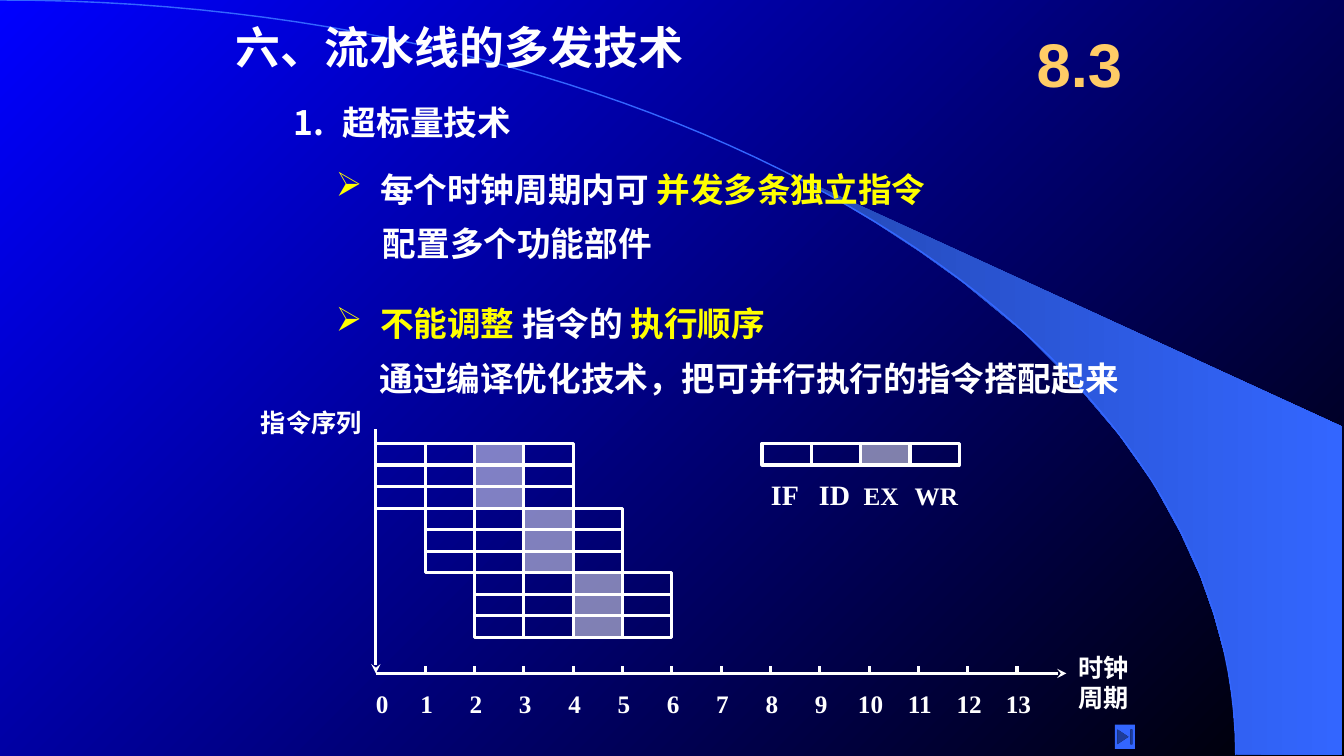
import pptx
import pptx.dml.color
import pptx.enum.shapes
import pptx.enum.text
import pptx.oxml.ns
import pptx.util
import lxml.etree

Pt = pptx.util.Pt
qn = pptx.oxml.ns.qn
SHAPE = pptx.enum.shapes.MSO_SHAPE
ANCHOR = pptx.enum.text.MSO_ANCHOR
COLORS = {
    name: pptx.dml.color.RGBColor.from_string(value)
    for name, value in {
        "white": "FFFFFF", "yellow": "FFFF00", "amber": "FFCC66",
        "blue": "0000FF", "black": "000000", "sky": "3366FF", "deep": "2449B6",
    }.items()
}

presentation = pptx.Presentation()
presentation.slide_width = Pt(960)
presentation.slide_height = Pt(540)
slide = presentation.slides.add_slide(presentation.slide_layouts[6])
shapes = slide.shapes


def add_text(left, top, width, height, runs, size, inset=7.2, anchor=ANCHOR.TOP, font="Times New Roman"):
    frame = shapes.add_textbox(Pt(left), Pt(top), Pt(width), Pt(height)).text_frame
    frame.word_wrap = True
    frame.vertical_anchor = anchor
    frame.margin_left = frame.margin_right = Pt(inset)
    paragraph = frame.paragraphs[0]
    for text, color in runs:
        run = paragraph.add_run()
        run.text = text
        run.font.name = font
        run.font.size = Pt(size)
        run.font.bold = True
        run.font.color.rgb = COLORS[color]
    return paragraph


def add_line(x1, y1, x2, y2, arrow=False):
    line = shapes.add_connector(pptx.enum.shapes.MSO_CONNECTOR.STRAIGHT, Pt(x1), Pt(y1), Pt(x2), Pt(y2))
    line.line.color.rgb = COLORS["white"]
    line.line.width = Pt(2.25)
    if arrow:
        lxml.etree.SubElement(line.line._get_or_add_ln(), qn("a:tailEnd"), type="stealth")
    lxml.etree.SubElement(line._element.spPr, qn("a:effectLst"))


backdrop = slide.background.fill
backdrop.gradient()
backdrop.gradient_angle = 315
backdrop.gradient_stops[0].color.rgb = COLORS["blue"]
backdrop.gradient_stops[1].color.rgb = COLORS["black"]

wedge_points = [
    (883.4, 538.6), (958.3, 539.3), (958.3, 304.6), (565.9, 124.6), (599, 143.3), (626.4, 159.8),
    (657.4, 180), (687.6, 201.6), (731.5, 237.6), (770.4, 276.5), (799.2, 310.3), (823.7, 344.9),
    (843.1, 380.2), (857.5, 411.8), (866.9, 438.5), (876.2, 472.3), (880.6, 501.1),
]
arc_points = []
for step in range(61):
    t = step / 60
    weights = 3 * (1 - t) ** 2 * t, 3 * (1 - t) * t ** 2, t ** 3
    arc_points.append((
        weights[0] * 487.4 + weights[1] * 882.7 + weights[2] * 882.7,
        weights[1] * 241.2 + weights[2] * 539.3,
    ))
outlines = []
for points, closed in ((wedge_points, True), (arc_points, False)):
    scaled = [(x * 100, y * 100) for x, y in points]
    builder = shapes.build_freeform(*scaled[0], scale=Pt(1) / 100)
    builder.add_line_segments(scaled[1:], close=closed)
    outline = builder.convert_to_shape()
    outline.shadow.inherit = False
    outlines.append(outline)
wedge, arc = outlines
wedge.fill.gradient()
wedge.fill.gradient_angle = 0
wedge.fill.gradient_stops[0].color.rgb = COLORS["deep"]
wedge.fill.gradient_stops[1].color.rgb = COLORS["sky"]
wedge.line.fill.background()
arc.fill.background()
arc.line.color.rgb = COLORS["sky"]
arc.line.width = Pt(1)

add_text(168, 12, 425, 42, [("六、流水线的多发技术", "white")], 32, 0, ANCHOR.MIDDLE)
headings = [
    (210, 66, 35, [("超标量技术", "white")]),
    (240, 114, 31.5, [("每个时钟周期内可 ", "white"), ("并发多条独立指令", "yellow")]),
    (240, 210, 31.5, [("不能调整 ", "yellow"), ("指令的 ", "white"), ("执行顺序", "yellow")]),
]
for left, top, indent, runs in headings:
    heading = add_text(left, top, 474, 42, runs, 24, 0, ANCHOR.MIDDLE)
    properties = heading._p.get_or_add_pPr()
    properties.set("marL", str(Pt(indent)))
    properties.set("indent", str(-Pt(indent)))
    if left == 210:
        lxml.etree.SubElement(properties, qn("a:buFont"), typeface="Times New Roman")
        lxml.etree.SubElement(properties, qn("a:buAutoNum"), type="arabicPeriod")
    else:
        bullet_color = lxml.etree.SubElement(properties, qn("a:buClr"))
        lxml.etree.SubElement(bullet_color, qn("a:srgbClr"), val=str(COLORS["yellow"]))
        lxml.etree.SubElement(properties, qn("a:buChar"), char="➢")

add_text(266.4, 156, 432, 36, [("配置多个功能部件", "white")], 24)
add_text(264, 252, 582, 36, [("通过编译优化技术，把可并行执行的指令搭配起来", "white")], 24)
section = add_text(726, 12, 90, 66, [("8.3", "amber")], 44, anchor=ANCHOR.MIDDLE, font="Arial")
section.alignment = pptx.enum.text.PP_ALIGN.CENTER

origin_x, axis_y, cycle, row_height, first_row = 268.5, 481, 35.23, 15.38, 316.8
instructions = [(origin_x + row // 3 * cycle, first_row + row * row_height) for row in range(9)]
legend = (544.3, first_row)
for left, top in instructions + [legend]:
    for stage in range(4):
        cell = shapes.add_shape(SHAPE.RECTANGLE, Pt(left + stage * cycle), Pt(top), Pt(cycle), Pt(row_height))
        cell.shadow.inherit = False
        cell.line.color.rgb = COLORS["white"]
        cell.line.width = Pt(2.25)
        if stage == 2:
            cell.fill.solid()
            cell.fill.fore_color.rgb = COLORS["white"]
            lxml.etree.SubElement(cell._element.spPr.find(".//" + qn("a:srgbClr")), qn("a:alpha"), val="50000")
        else:
            cell.fill.background()

stages = add_text(543.6, 337.7, 165, 31, [("IF\tID", "white"), ("\tEX\tWR", "white")], 20)
stages.runs[1].font.size = Pt(18)
cycles = add_text(261.4, 488.2, 542, 29, [("\t".join(str(n) for n in range(14)), "white")], 18)
stage_stops = [34.2, 66.2, 102.6]
cycle_stops = [n * cycle + 1 for n in range(1, 14)]
for labels, stops, alignment in ((stages, stage_stops, "l"), (cycles, cycle_stops, "ctr")):
    tabs = lxml.etree.SubElement(labels._p.get_or_add_pPr(), qn("a:tabLst"))
    for stop in stops:
        lxml.etree.SubElement(tabs, qn("a:tab"), pos=str(Pt(stop)), algn=alignment)

add_line(origin_x, 306.7, origin_x, axis_y, arrow=True)
add_line(origin_x, axis_y, 761.8, axis_y, arrow=True)
for n in range(1, 14):
    add_line(origin_x + n * cycle, 476, origin_x + n * cycle, axis_y)

clock = add_text(763.2, 462.2, 96.5, 50.4, [("时钟", "white")], 18)
period = clock._parent.add_paragraph()
period.text = "周期"
period.font.name = "Times New Roman"
period.font.size = Pt(18)
period.font.bold = True
period.font.color.rgb = COLORS["white"]
add_text(179.3, 287.3, 96.5, 28.8, [("指令序列", "white")], 18)

end_button = shapes.add_shape(SHAPE.ACTION_BUTTON_END, Pt(796.3), Pt(517.7), Pt(14.4), Pt(17.3))
end_button.shadow.inherit = False
end_button.fill.solid()
end_button.fill.fore_color.rgb = COLORS["sky"]
end_button.line.fill.background()

presentation.save("out.pptx")
